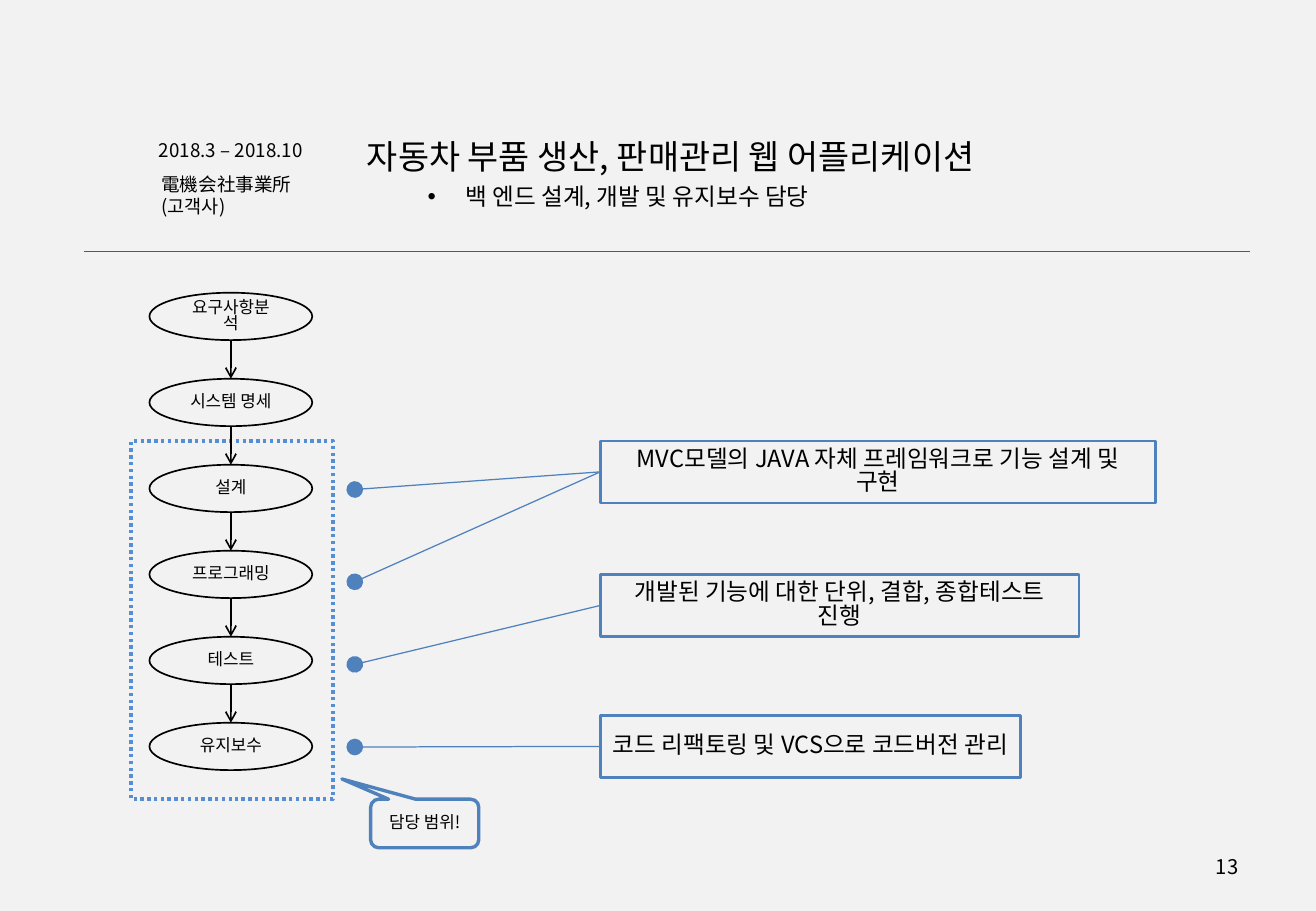
from lxml import etree
from pptx import Presentation
from pptx.dml.color import RGBColor
from pptx.enum.dml import MSO_LINE
from pptx.enum.shapes import MSO_CONNECTOR, MSO_SHAPE
from pptx.enum.text import MSO_ANCHOR, MSO_AUTO_SIZE, PP_ALIGN
from pptx.oxml.ns import qn
from pptx.util import Inches, Pt

PAPER = RGBColor(0xF2, 0xF2, 0xF2)
BLACK = RGBColor(0, 0, 0)
GREY = RGBColor(0x59, 0x59, 0x59)
BLUE = RGBColor(0x4F, 0x81, 0xBD)
SKY = RGBColor(0x55, 0x8E, 0xD5)
FONT = "Noto Sans CJK KR"
LINE_SPACING = 0.82

LEFT, CENTER, RIGHT = PP_ALIGN.LEFT, PP_ALIGN.CENTER, PP_ALIGN.RIGHT
TOP, MIDDLE = MSO_ANCHOR.TOP, MSO_ANCHOR.MIDDLE
NO_AUTOFIT = MSO_AUTO_SIZE.NONE
STRAIGHT = MSO_CONNECTOR.STRAIGHT
DOTTED = MSO_LINE.ROUND_DOT
OVAL, RECTANGLE = MSO_SHAPE.OVAL, MSO_SHAPE.RECTANGLE
CALLOUT = MSO_SHAPE.ROUNDED_RECTANGULAR_CALLOUT

STAGES = ["요구사항분석", "시스템 명세", "설계", "프로그래밍", "테스트", "유지보수"]
DUTIES = [
    ("MVC모델의 JAVA 자체 프레임워크로 기능 설계 및 구현", 0, 4.57, [0.4, 1.16]),
    ("개발된 기능에 대한 단위, 결합, 종합테스트 진행", 1.1, 3.94, [1.84]),
    ("코드 리팩토링 및 VCS으로 코드버전 관리", 2.26, 3.46, [2.52]),
]


def write(shape, text, size, align=LEFT, anchor=TOP, gap=0):
    """Fill a shape with text in the slide's font."""
    frame = shape.text_frame
    frame.text = text
    frame.word_wrap = True
    frame.auto_size = NO_AUTOFIT
    frame.vertical_anchor = anchor
    for index, para in enumerate(frame.paragraphs):
        para.alignment = align
        para.line_spacing = LINE_SPACING
        para.space_before = Pt(gap if index else 0)
        for span in para.runs:
            span.font.size = Pt(size)
            span.font.name = FONT
            span.font.color.rgb = BLACK
            east_asian = etree.SubElement(span.font._element, qn("a:ea"))
            east_asian.set("typeface", FONT)


def place(shape, left, top, width, height):
    """Move a placeholder to the given box."""
    shape.left, shape.top = Inches(left), Inches(top)
    shape.width, shape.height = Inches(width), Inches(height)


def add_label(page, box, text, size, **layout):
    """Add a text box."""
    label = page.shapes.add_textbox(*map(Inches, box))
    write(label, text, size, **layout)


def add_outline(page, kind, box, color, weight, text="", size=10):
    """Add an unfilled shape with centred text."""
    shape = page.shapes.add_shape(kind, *map(Inches, box))
    shape.shadow.inherit = False
    shape.fill.background()
    shape.line.color.rgb = color
    shape.line.width = Pt(weight)
    if text:
        write(shape, text, size, CENTER, MIDDLE)
    return shape


def add_line(page, start, end, color, weight, ending=None, shape="arrow", size="med"):
    """Add a straight line with an optional mark at one end."""
    line = page.shapes.add_connector(STRAIGHT, *map(Inches, start + end))
    line.line.color.rgb = color
    line.line.width = Pt(weight)
    if ending:
        mark = etree.SubElement(line.line._get_or_add_ln(), qn(ending))
        for key, value in (("type", shape), ("w", size), ("len", size)):
            mark.set(key, value)
    etree.SubElement(line._element.spPr, qn("a:effectLst"))


def draw_header(page, left, top, width, height):
    """Draw the period, client, heading and rule."""
    add_label(page, (left + 0.52, top, 1.6, 0.26), "2018.3 – 2018.10", 11.1)
    add_label(page, (left + 0.54, top + 0.28, 1.6, 0.56),
              "電機会社事業所\n(고객사)", 11, gap=2.2)
    title, body = page.shapes.title, page.placeholders[1]
    place(title, left + 2.23, top, 6.36, 0.42)
    write(title, "자동차 부품 생산, 판매관리 웹 어플리케이션", 20)
    place(body, left + 2.23, top + 0.36, 6.36, 0.5)
    write(body, "백 엔드 설계, 개발 및 유지보수 담당", 14)
    properties = body.text_frame.paragraphs[0]._p.get_or_add_pPr()
    properties.set("marL", str(Inches(0.81)))
    properties.set("indent", str(Inches(-0.31)))
    etree.SubElement(properties, qn("a:buChar")).set("char", "•")
    bottom = top + height
    add_line(page, (left, bottom), (left + width, bottom), GREY, 0.75)


def draw_process(page, left, top, width, height):
    """Draw the stages as a column of ellipses joined by arrows."""
    node = 0.39
    pitch = (height - node) / (len(STAGES) - 1)
    middle = left + width / 2
    for index, stage in enumerate(STAGES):
        y = top + index * pitch
        add_outline(page, OVAL, (left, y, width, node), BLACK, 1, stage)
        if index:
            add_line(page, (middle, y - pitch + node), (middle, y), BLACK, 1, "a:tailEnd")


def draw_scope(page, left, top, width, height):
    """Draw the dotted frame of responsibility and its callout."""
    frame = add_outline(page, RECTANGLE, (left, top, width, height), SKY, 2)
    frame.line.dash_style = DOTTED
    callout = add_outline(page, CALLOUT, (left + 1.97, top + height, 0.89, 0.4),
                          BLUE, 2, "담당 범위!")
    for index, value in enumerate((-0.765, -0.916, 0.167)):
        callout.adjustments[index] = value


def draw_duties(page, left, top, indent, height):
    """Draw the duty boxes and the lines from the stages to them."""
    box_left = left + indent
    for text, offset, width, dots in DUTIES:
        y = top + offset
        add_outline(page, RECTANGLE, (box_left, y, width, height), BLUE, 1.5, text, 14)
        for dot in dots:
            add_line(page, (left, top + dot), (box_left, y + height / 2),
                     BLUE, 0.75, "a:headEnd", "oval", "lg")


def main():
    """Build the project slide."""
    deck = Presentation()
    deck.slide_width, deck.slide_height = Inches(10.83), Inches(7.5)
    page = deck.slides.add_slide(deck.slide_layouts[1])
    page.background.fill.solid()
    page.background.fill.fore_color.rgb = PAPER
    draw_header(page, 0.69, 1.13, 9.6, 0.94)
    draw_scope(page, 1.08, 3.63, 1.66, 2.95)
    draw_process(page, 1.23, 2.41, 1.34, 3.93)
    draw_duties(page, 2.92, 3.63, 2.02, 0.51)
    add_label(page, (7.76, 6.95, 2.53, 0.4), "13", 12, align=RIGHT, anchor=MIDDLE)
    deck.save("out.pptx")


if __name__ == "__main__":
    main()
